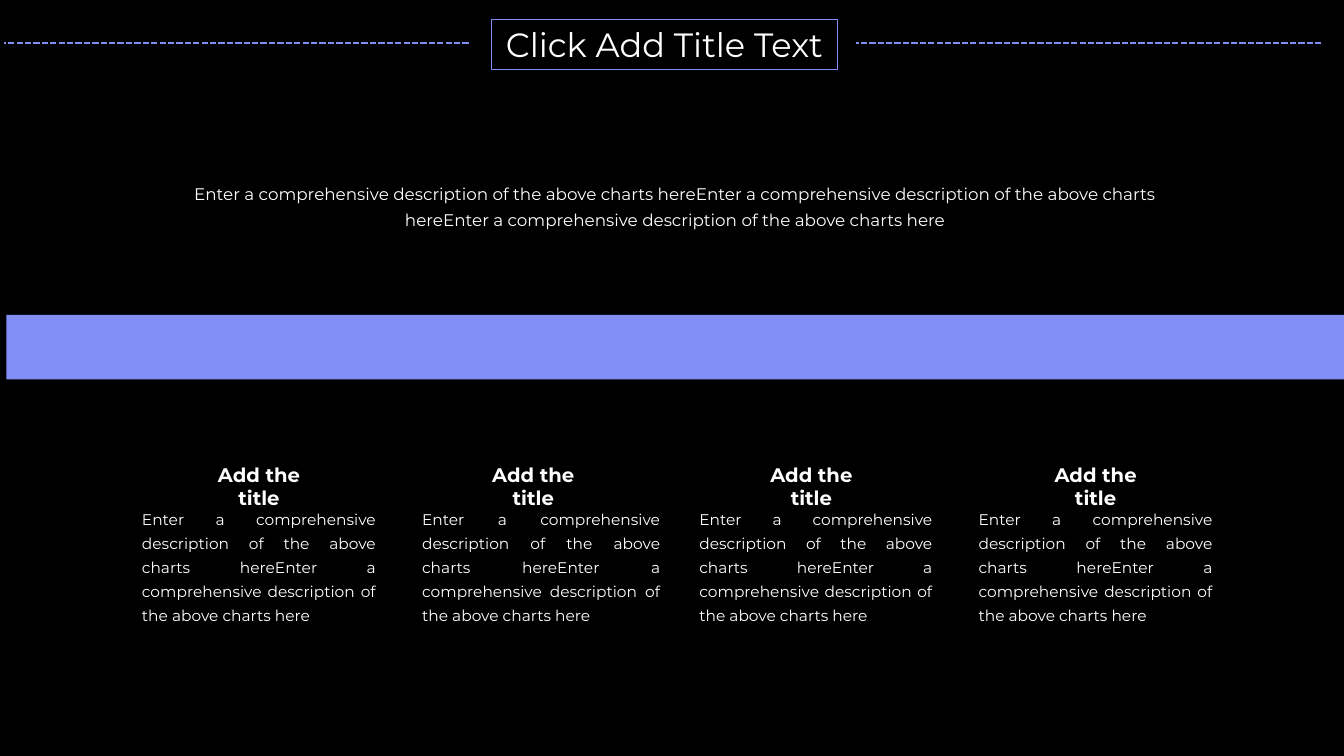
import dataclasses

import lxml.etree
import pptx
import pptx.dml.color
import pptx.enum.dml
import pptx.enum.shapes
import pptx.enum.text
import pptx.oxml.ns
import pptx.util

Pt = pptx.util.Pt
Align = pptx.enum.text.PP_ALIGN

FONT = "Montserrat"
ACCENT = "828EF6"
WHITE = "FFFFFF"
BLACK = "000000"
SENTENCE = "Enter a comprehensive description of the above charts here"


@dataclasses.dataclass(frozen=True)
class Box:
    left: float
    top: float
    width: float
    height: float


@dataclasses.dataclass(frozen=True)
class Column:
    heading_left: float
    body_left: float
    body_width: float


@dataclasses.dataclass(frozen=True)
class DashedRule:
    start: float
    end: float


COLUMNS = [
    Column(133.9, 94.3, 181.4),
    Column(329.8, 294.5, 184.3),
    Column(528.5, 492.5, 180.7),
    Column(731.5, 691.9, 181.4),
]
RULES = [DashedRule(943.9, 611.3), DashedRule(334.8, 2.9)]
RULE_TOP = 30.5


def color(value: str) -> pptx.dml.color.RGBColor:
    return pptx.dml.color.RGBColor.from_string(value)


def place(shape, box: Box) -> None:
    shape.left, shape.top = Pt(box.left), Pt(box.top)
    shape.width, shape.height = Pt(box.width), Pt(box.height)


def write_text(shape, text: str, *, size: float, align=Align.CENTER,
               bold: bool = False, spacing: float = 1.0,
               anchor=pptx.enum.text.MSO_ANCHOR.TOP) -> None:
    frame = shape.text_frame
    frame.word_wrap = True
    frame.auto_size = pptx.enum.text.MSO_AUTO_SIZE.NONE
    frame.vertical_anchor = anchor
    paragraph = frame.paragraphs[0]
    paragraph.alignment = align
    paragraph.line_spacing = spacing
    run = paragraph.add_run()
    run.text = text
    run.font.name = FONT
    run.font.size = Pt(size)
    run.font.bold = bold
    run.font.color.rgb = color(WHITE)


def add_text(slide, box: Box, text: str, **text_format) -> None:
    shape = slide.shapes.add_textbox(0, 0, 0, 0)
    place(shape, box)
    write_text(shape, text, **text_format)


def add_column(slide, column: Column) -> None:
    add_text(slide, Box(column.heading_left, 326.9, 102.2, 23.8),
             "Add the title", size=14, bold=True)
    add_text(slide, Box(column.body_left, 357.1, column.body_width, 93.6),
             SENTENCE * 2, size=11, align=Align.JUSTIFY, spacing=1.3)


def add_rule(slide, rule: DashedRule) -> None:
    connector = slide.shapes.add_connector(
        pptx.enum.shapes.MSO_CONNECTOR.STRAIGHT,
        Pt(rule.start), Pt(RULE_TOP), Pt(rule.end), Pt(RULE_TOP))
    connector.line.color.rgb = color(ACCENT)
    connector.line.width = Pt(1.5)
    connector.line.dash_style = pptx.enum.dml.MSO_LINE.SQUARE_DOT
    lxml.etree.SubElement(connector._element.spPr,
                          pptx.oxml.ns.qn("a:effectLst"))


def add_band(slide) -> None:
    band = slide.shapes.add_shape(
        pptx.enum.shapes.MSO_SHAPE.RECTANGLE, 0, 0, 0, 0)
    place(band, Box(4.5, 224.9, 955.5, 46.1))
    band.shadow.inherit = False
    band.fill.solid()
    band.fill.fore_color.rgb = color(ACCENT)
    band.line.fill.background()


def format_title(slide) -> None:
    title = slide.shapes.title
    place(title, Box(351, 13.7, 247, 36.2))
    title.line.color.rgb = color(ACCENT)
    title.line.width = Pt(0.75)
    write_text(title, "Click Add Title Text", size=24,
               anchor=pptx.enum.text.MSO_ANCHOR.MIDDLE)


def main() -> None:
    presentation = pptx.Presentation()
    presentation.slide_width = Pt(960)
    presentation.slide_height = Pt(540)
    slide = presentation.slides.add_slide(presentation.slide_layouts[5])
    slide.background.fill.solid()
    slide.background.fill.fore_color.rgb = color(BLACK)

    format_title(slide)
    for rule in RULES:
        add_rule(slide, rule)
    add_text(slide, Box(105, 123.1, 754.6, 44.6), SENTENCE * 3,
             size=12, spacing=1.3)
    add_band(slide)
    for column in COLUMNS:
        add_column(slide, column)

    presentation.save("out.pptx")


if __name__ == "__main__":
    main()
